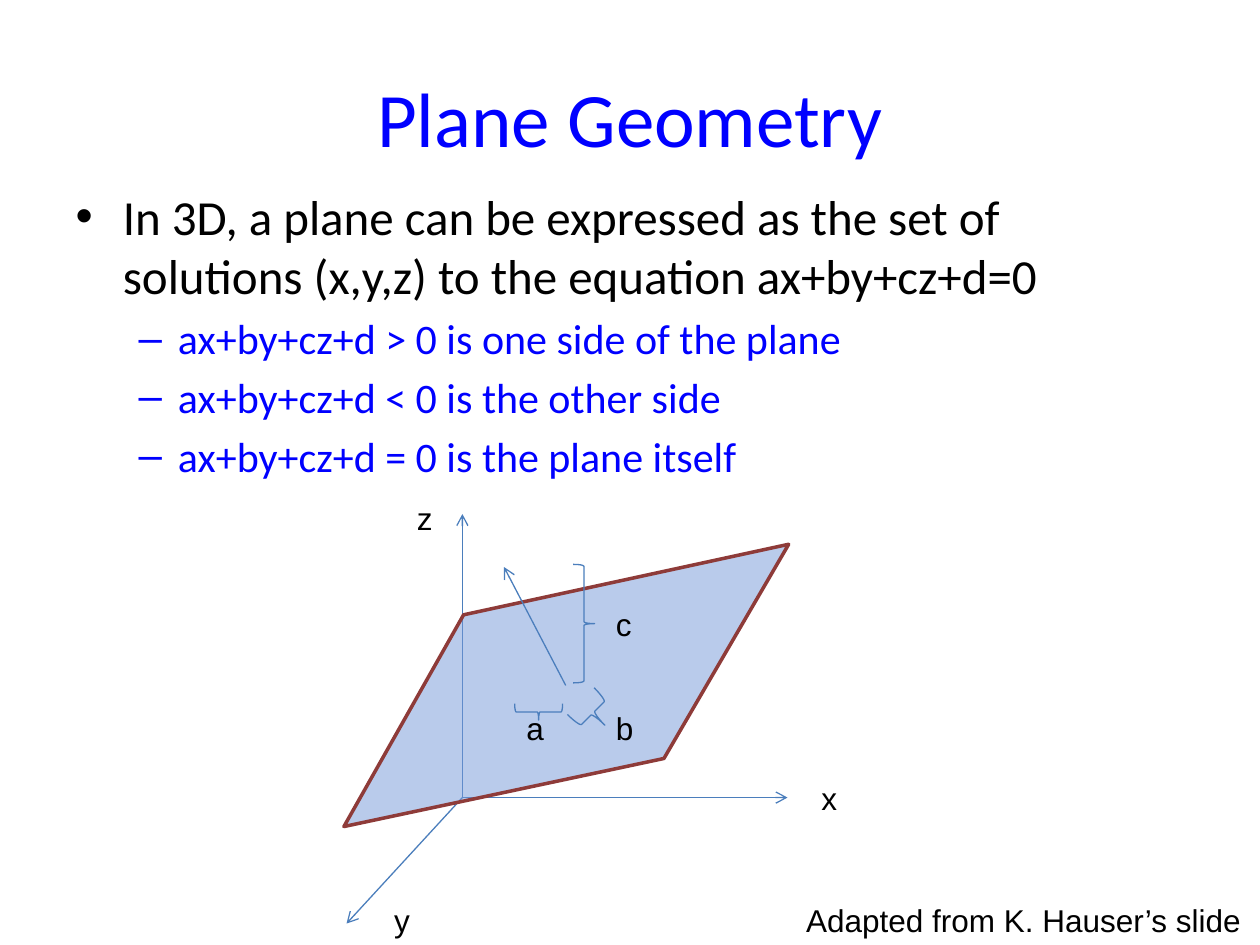
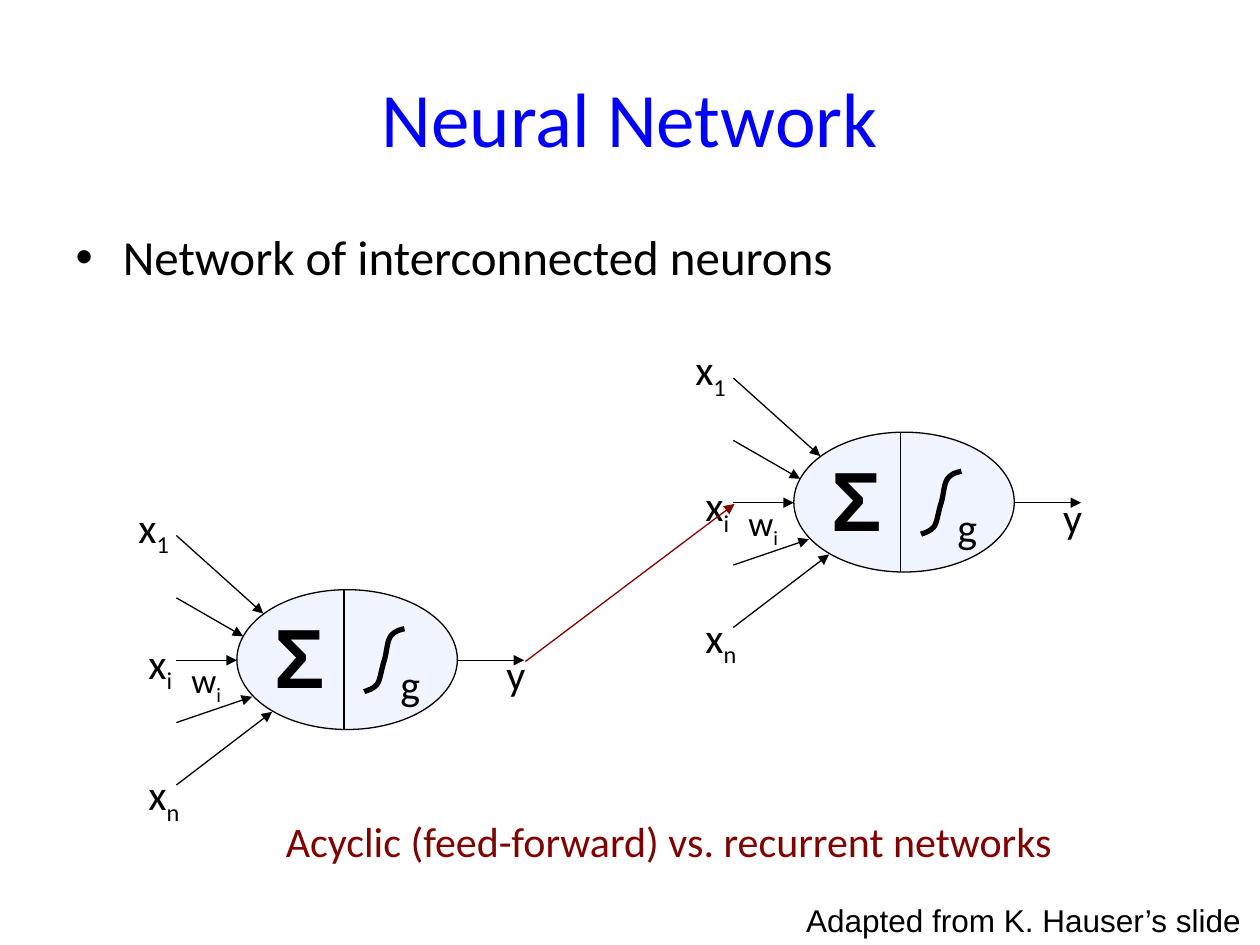
"""Build two lecture slides: plane geometry in 3D and a network of neurons."""
from itertools import chain

from lxml.etree import SubElement
from pptx import Presentation
from pptx.dml.color import RGBColor
from pptx.enum.shapes import MSO_CONNECTOR, MSO_SHAPE
from pptx.enum.text import MSO_ANCHOR, MSO_AUTO_SIZE, PP_ALIGN
from pptx.oxml.ns import qn
from pptx.util import Inches, Pt


class Theme:
    black, blue, maroon = "000000", "0000FF", "800000"
    axis, plane, plane_edge, neuron = "4B7EBC", "7598D9", "8E3B39", "F0F4FE"
    sans, plain = "Calibri", "Arial"
    title = {"size": Pt(44), "name": sans}
    bullet = {"size": Pt(28), "name": sans}
    text = {"size": Pt(24), "name": sans}
    weight = {"size": Pt(20), "name": sans}
    note = {"size": Pt(18), "name": plain}
    sigma = {"size": Pt(48), "name": plain, "bold": True}
    thin, medium, thick = Pt(0.75), Pt(2), Pt(3)


def write(para, text, look, color=Theme.black):
    for index, part in enumerate(text.split("_")):
        span = para.add_run()
        span.text = part
        for name, value in look.items():
            setattr(span.font, name, value)
        span.font.color.rgb = RGBColor.from_string(color)
        if index:
            span.font._element.set("baseline", "-25000")


def outline(item, color, width=Theme.thin, head=None, fill=None):
    item.line.color.rgb = RGBColor.from_string(color)
    item.line.width = width
    properties = item._element.spPr
    if head:
        SubElement(properties.find(qn("a:ln")), qn("a:tailEnd"), type=head)
    SubElement(properties, qn("a:effectLst"))
    if fill:
        item.fill.solid()
        item.fill.fore_color.rgb = RGBColor.from_string(fill)
    elif hasattr(item, "fill"):
        item.fill.background()


deck = Presentation()
deck.slide_width, deck.slide_height = Inches(10), Inches(7.5)
cell = deck.slide_width // 10

contents = [
    ("Plane Geometry", 1.43, [
        (0, "In 3D, a plane can be expressed as the set of solutions (x,y,z) "
            "to the equation ax+by+cz+d=0"),
        (1, "ax+by+cz+d > 0 is one side of the plane"),
        (1, "ax+by+cz+d < 0 is the other side"),
        (1, "ax+by+cz+d = 0 is the plane itself")]),
    ("Neural Network", 1.75, [(0, "Network of interconnected neurons")]),
]
levels = [(Theme.bullet, Theme.black), (Theme.text, Theme.blue)]
pages, labels = [], []

for heading, body_top, points in contents:
    page = deck.slides.add_slide(deck.slide_layouts[1])
    pages.append(page)
    title, body = page.placeholders
    for holder, top, height in [(title, 0.3, 1.25), (body, body_top, 4.95)]:
        frame = {"left": 0.5, "top": top, "width": 9, "height": height}
        for name, value in frame.items():
            setattr(holder, name, int(value * cell))
    title.text_frame.vertical_anchor = MSO_ANCHOR.MIDDLE
    title_para = title.text_frame.paragraphs[0]
    title_para.alignment = PP_ALIGN.CENTER
    write(title_para, heading, Theme.title, Theme.blue)
    for index, (level, text) in enumerate(points):
        para = body.text_frame.add_paragraph() if index else body.text_frame.paragraphs[0]
        para.level = level
        write(para, text, *levels[level])
    labels.append((page.shapes, "Adapted from K. Hauser’s slide", 6.3, 7.1, 3.7, 0.4,
                   Theme.note, Theme.black))

geometry, network = (page.shapes for page in pages)
lines = []

origin = (3.67, 6.33)
for tip in [(3.67, 4.08), (6.25, 6.33), (2.75, 7.33)]:
    lines.append((geometry, origin, tip, Theme.axis, "arrow"))
lines.append((geometry, (4.49, 5.44), (4, 4.5), Theme.axis, "arrow"))

corners = [(int(x * cell), int(y * cell))
           for x, y in [(2.73, 6.56), (3.68, 4.88), (6.26, 4.32), (5.27, 6.02)]]
builder = geometry.build_freeform(*corners[0])
builder.add_line_segments(corners[1:], close=True)
plane = builder.convert_to_shape()
outline(plane, Theme.plane_edge, Theme.medium, fill=Theme.plane)
plane_color = plane._element.spPr.find(qn("a:solidFill")).find(qn("a:srgbClr"))
SubElement(plane_color, qn("a:alpha"), val="50000")

for left, top, width, height, turn in [(4.55, 4.48, 0.17, 0.94, 0),
                                       (4.21, 5.46, 0.13, 0.38, 90),
                                       (4.57, 5.51, 0.27, 0.3, 45)]:
    brace = geometry.add_shape(MSO_SHAPE.LEFT_BRACE,
                               *(int(n * cell) for n in (left, top, width, height)))
    brace.rotation = turn
    brace._element.spPr.find(qn("a:xfrm")).set("flipH", "1")
    outline(brace, Theme.axis)

for text, left, top in [("a", 4.08, 5.58), ("b", 4.79, 5.58), ("c", 4.79, 4.75),
                        ("z", 3.21, 3.91), ("x", 6.42, 6.13), ("y", 3.03, 7.1)]:
    labels.append((geometry, text, left, top, 0.34, 0.4, Theme.note, Theme.black))

input_tips = [(0.21, 0.19), (0.05, 0.37), (0, 0.56), (0.12, 0.85), (0.28, 0.97)]
sigmoid = [(0.32, 0), (0.28, 0.01), (0.24, 0.02), (0.21, 0.06), (0.18, 0.1),
           (0.18, 0.19), (0.16, 0.25), (0.14, 0.31), (0.13, 0.39), (0.11, 0.43),
           (0.08, 0.48), (0.02, 0.49), (0, 0.5)]
neuron_labels = [
    ("Σ", 0.2, 0.07, 0.6, 0.9, Theme.sigma), ("g", 1.2, 0.5, 0.36, 0.51, Theme.text),
    ("x_i", -0.8, 0.33, 0.41, 0.51, Theme.text),
    ("x_1", -0.88, -0.75, 0.46, 0.51, Theme.text),
    ("x_n", -0.8, 1.37, 0.47, 0.51, Theme.text),
    ("y", 2.04, 0.42, 0.36, 0.51, Theme.text),
    ("w_i", -0.46, 0.5, 0.45, 0.44, Theme.weight),
]

for x, y in [(1.88, 4.68), (6.3, 3.43)]:
    neuron = network.add_group_shape().shapes
    cell_body = neuron.add_shape(MSO_SHAPE.OVAL,
                                 *(int(n * cell) for n in (x, y, 1.75, 1.11)))
    outline(cell_body, Theme.black, fill=Theme.neuron)

    curve = []
    for k in range(0, len(sigmoid) - 1, 3):
        for t in (step / 8 for step in range(9)):
            shares = ((1 - t) ** 3, 3 * t * (1 - t) ** 2, 3 * t * t * (1 - t), t ** 3)
            dx, dy = (sum(share * point[axis] for share, point in zip(shares, sigmoid[k:k + 4]))
                      for axis in (0, 1))
            curve.append((int((x + 1.01 + dx) * cell), int((y + 0.31 + dy) * cell)))
    builder = neuron.build_freeform(*curve[0])
    builder.add_line_segments(curve[1:], close=False)
    outline(builder.convert_to_shape(), Theme.black, Theme.thick)

    lines.append((neuron, (x + 0.85, y), (x + 0.85, y + 1.11), Theme.black, None))
    for row, (dx, dy) in enumerate(input_tips):
        lines.append((neuron, (x - 0.48, y - 0.43 + row * 0.495), (x + dx, y + dy),
                      Theme.black, "triangle"))
    lines.append((neuron, (x + 1.75, y + 0.56), (x + 2.28, y + 0.56), Theme.black, "triangle"))
    for text, dx, dy, width, height, look in neuron_labels:
        labels.append((neuron, text, x + dx, y + dy, width, height, look, Theme.black))

lines.append((network, (4.17, 5.25), (5.83, 4), Theme.maroon, "triangle"))
labels.append((network, "Acyclic (feed-forward) vs. recurrent networks", 2.17, 6.42, 6.39, 0.5,
               Theme.text, Theme.maroon))

for shapes, start, end, color, head in lines:
    line = shapes.add_connector(MSO_CONNECTOR.STRAIGHT,
                                *(int(n * cell) for n in chain(start, end)))
    outline(line, color, head=head)
    if shapes is geometry:
        if start == origin:
            plane._element.addprevious(line._element)

for shapes, text, left, top, width, height, look, color in labels:
    box = shapes.add_textbox(*(int(n * cell) for n in (left, top, width, height)))
    box.text_frame.word_wrap = False
    box.text_frame.auto_size = MSO_AUTO_SIZE.SHAPE_TO_FIT_TEXT
    write(box.text_frame.paragraphs[0], text, look, color)

deck.save("out.pptx")
